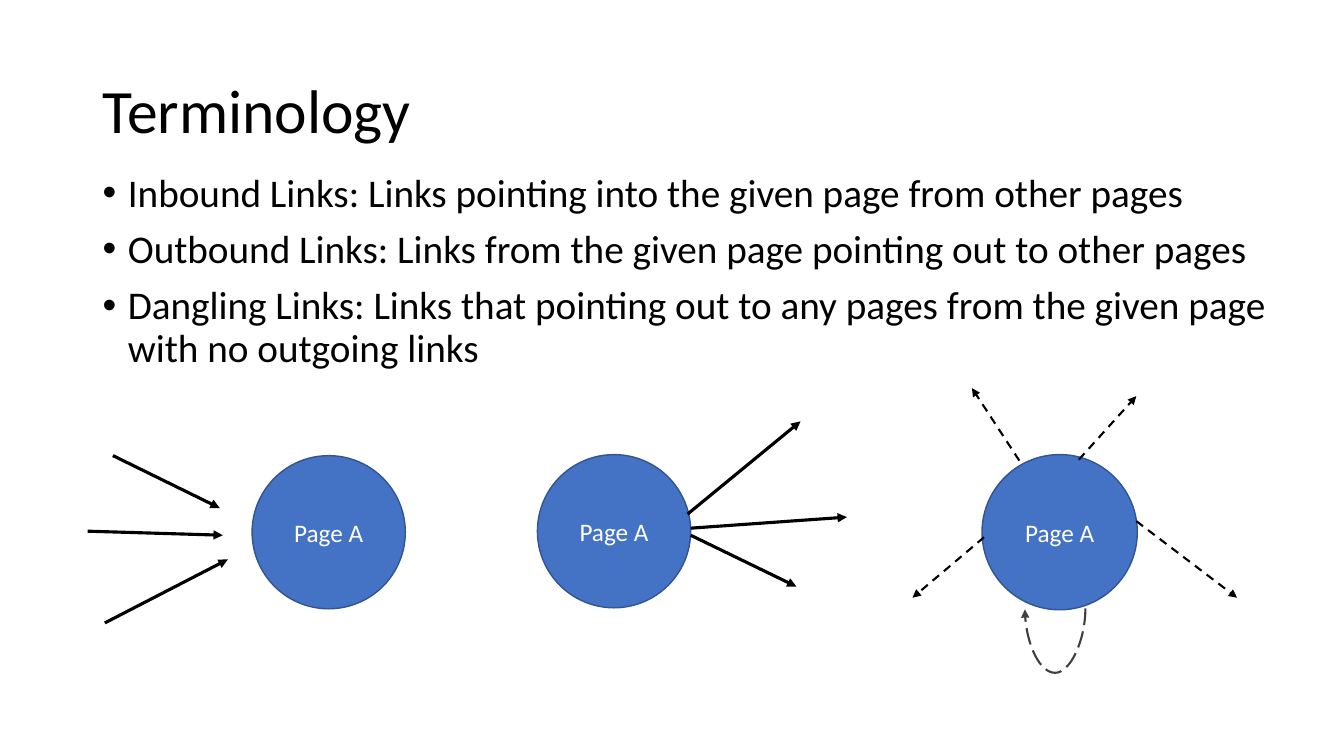
from lxml import etree
from pptx import Presentation
from pptx.dml.color import RGBColor
from pptx.enum.dml import MSO_LINE
from pptx.enum.shapes import MSO_CONNECTOR, MSO_SHAPE
from pptx.enum.text import MSO_ANCHOR, PP_ALIGN
from pptx.oxml.ns import qn
from pptx.util import Inches, Pt

STRAIGHT, CURVE = MSO_CONNECTOR.STRAIGHT, MSO_CONNECTOR.CURVE
DASH, LONG_DASH = MSO_LINE.DASH, MSO_LINE.LONG_DASH
OVAL = MSO_SHAPE.OVAL
MIDDLE, TOP = MSO_ANCHOR.MIDDLE, MSO_ANCHOR.TOP
LEFT, CENTER = PP_ALIGN.LEFT, PP_ALIGN.CENTER

FONT = "Calibri"
COLORS = {"text": "000000", "page": "4472C4", "edge": "325491",
          "label": "FFFFFF", "arrow": "000000", "loop": "404040"}

# Content
TITLE = "Terminology"
TERMS = [
    "Inbound Links: Links pointing into the given page from other pages",
    "Outbound Links: Links from the given page pointing out to other pages",
    "Dangling Links: Links that pointing out to any pages from the given page "
    "with no outgoing links",
]
PAGE_LABEL = "Page A"

# Each diagram: page circle (left, top, diameter), arrow style, arrows (x1, y1, x2, y2)
DIAGRAMS = [
    {"page": (2.5, 4.52, 1.52), "width": 2.25, "dash": None,
     "arrows": [(1.12, 4.52, 2.18, 5.04), (0.87, 5.27, 2.21, 5.31),
                (1.04, 6.18, 2.26, 5.55)]},
    {"page": (5.33, 4.51, 1.52), "width": 2.25, "dash": None,
     "arrows": [(6.85, 5.31, 7.9, 5.82), (6.85, 5.24, 8.4, 5.13),
                (6.82, 5.1, 7.94, 4.18)]},
    {"page": (9.74, 4.51, 1.54), "width": 1.5, "dash": DASH,
     "arrows": [(10.11, 4.57, 9.64, 3.85), (10.7, 4.56, 11.27, 3.93),
                (11.27, 5.17, 12.27, 5.93), (9.76, 5.33, 9.05, 5.93)]},
]
# Self-link: an upright connector turned a quarter, bulging below the page
LOOP = (10.46, 5.74, 10.47, 6.34)
LOOP_DEPTH = 0.65


def rgb(name):
    return RGBColor.from_string(COLORS[name])


def write(sp, lines, size, color, anchor, align=LEFT, spacing=None):
    tf = sp.text_frame
    tf.word_wrap = True
    tf.vertical_anchor = anchor
    tf.text = "\n".join(lines)
    for p in tf.paragraphs:
        p.alignment = align
        p.line_spacing = spacing
        r = p.runs[0]
        r.font.name, r.font.size = FONT, Pt(size)
        r.font.color.rgb = rgb(color)
    return tf.paragraphs


def add_text(box, lines, size, anchor):
    sp = slide.shapes.add_textbox(*map(Inches, box))
    return write(sp, lines, size, "text", anchor, spacing=0.9)


def add_bullet(p):
    p.space_before = Pt(10)
    pPr = p._p.get_or_add_pPr()
    pPr.set("marL", str(Inches(0.25)))
    pPr.set("indent", str(-Inches(0.25)))
    etree.SubElement(pPr, qn("a:buFont"), typeface="Arial")
    etree.SubElement(pPr, qn("a:buChar"), char="•")


def add_page(left, top, diameter):
    sp = slide.shapes.add_shape(OVAL, *map(Inches, (left, top, diameter, diameter)))
    sp.shadow.inherit = False
    sp.fill.solid()
    sp.fill.fore_color.rgb = rgb("page")
    sp.line.color.rgb = rgb("edge")
    sp.line.width = Pt(1)
    write(sp, [PAGE_LABEL], 18, "label", MIDDLE, CENTER)


def add_arrow(ends, width, dash, color="arrow", kind=STRAIGHT):
    line = slide.shapes.add_connector(kind, *map(Inches, ends))
    line.line.color.rgb = rgb(color)
    line.line.width = Pt(width)
    if dash:
        line.line.dash_style = dash
    etree.SubElement(line.line._get_or_add_ln(), qn("a:tailEnd"), type="triangle")
    etree.SubElement(line._element.spPr, qn("a:effectLst"))
    return line


prs = Presentation()
prs.slide_width, prs.slide_height = Inches(13.33), Inches(7.5)
slide = prs.slides.add_slide(prs.slide_layouts[6])

# Title and definitions
add_text((0.92, 0.4, 11.5, 1.45), [TITLE], 44, MIDDLE)
for p in add_text((0.92, 1.67, 11.97, 4.76), TERMS, 28, TOP):
    add_bullet(p)

# Link diagrams
for diagram in DIAGRAMS:
    add_page(*diagram["page"])
    for ends in diagram["arrows"]:
        add_arrow(ends, diagram["width"], diagram["dash"])

# Self-link below the dangling page
loop = add_arrow(LOOP, 1.5, LONG_DASH, "loop", CURVE)
spPr = loop._element.spPr
spPr.find(qn("a:xfrm")).set("rot", str(90 * 60000))
geom = spPr.find(qn("a:prstGeom"))
guides = geom.find(qn("a:avLst"))
if guides is None:
    guides = etree.SubElement(geom, qn("a:avLst"))
bulge = round(Inches(LOOP_DEPTH) / loop.width * 100000)
etree.SubElement(guides, qn("a:gd"), name="adj1", fmla=f"val {bulge}")

prs.save("out.pptx")
